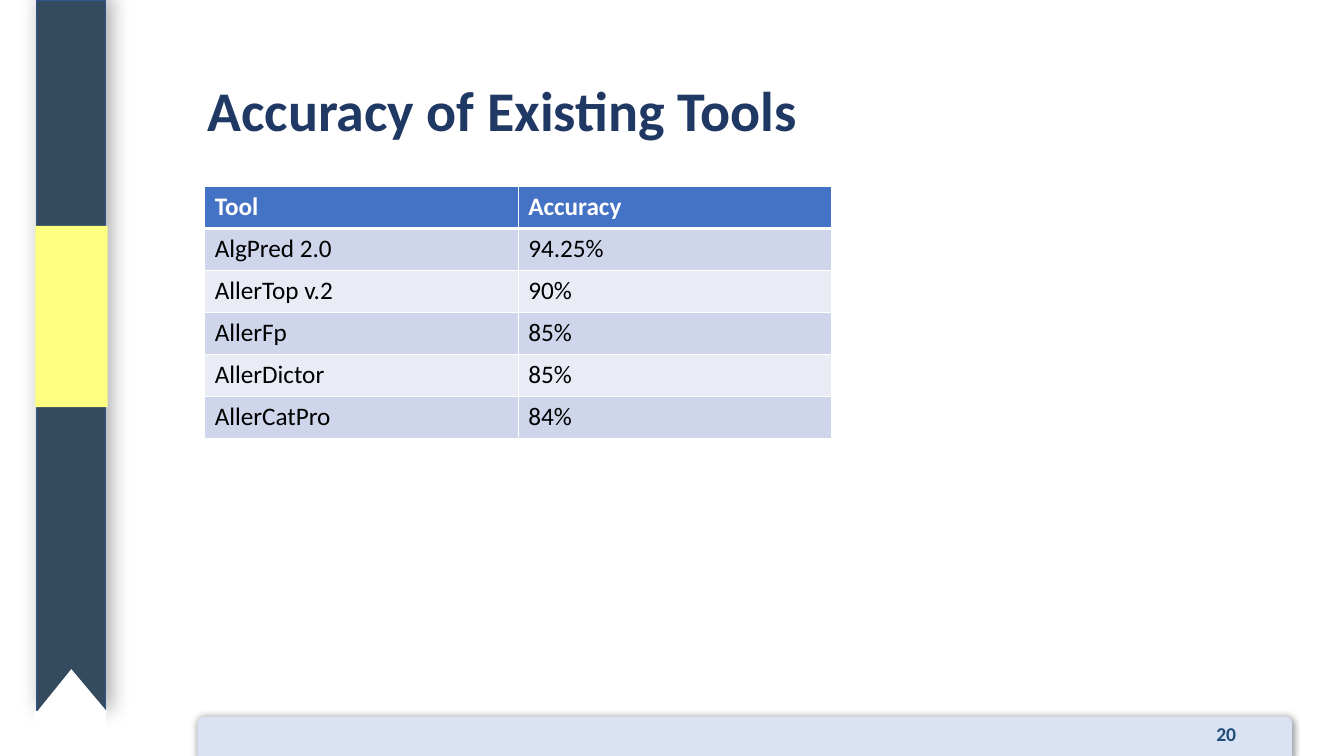
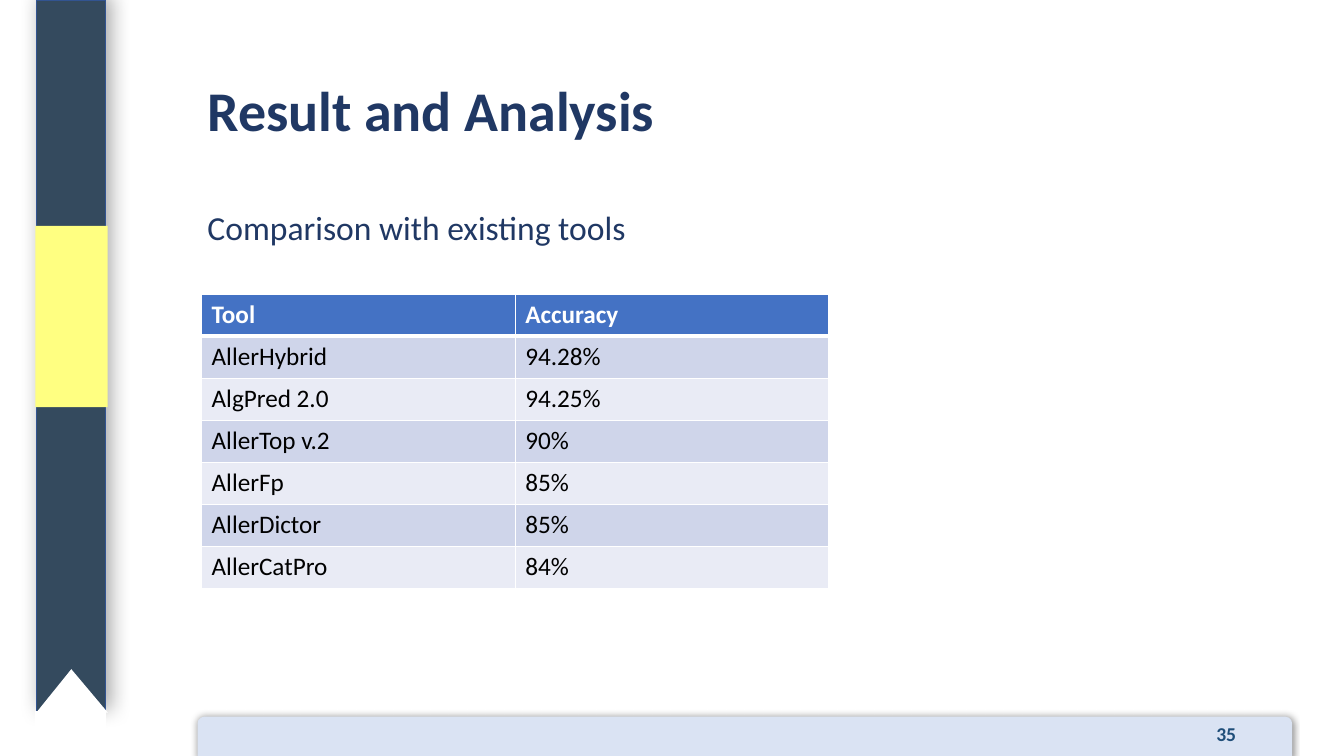
import dataclasses

import lxml.etree
import pptx
import pptx.dml.color
import pptx.enum.shapes
import pptx.enum.text
import pptx.oxml.ns
import pptx.util

Pt = pptx.util.Pt
Shape = pptx.enum.shapes.MSO_SHAPE
Align = pptx.enum.text.PP_ALIGN
Anchor = pptx.enum.text.MSO_ANCHOR


@dataclasses.dataclass(frozen=True)
class Theme:
    font: str = "Calibri"
    title_size: float = 40
    subtitle_size: float = 24
    table_size: float = 18
    number_size: float = 14
    heading: str = "203864"
    number: str = "1F4E79"
    ribbon: str = "344A5E"
    ribbon_line: str = "325491"
    ribbon_mark: str = "FFFF81"
    footer: str = "DAE3F3"
    header_row: str = "4472C4"
    odd_row: str = "CFD5EA"
    even_row: str = "E9EBF5"
    white: str = "FFFFFF"
    black: str = "000000"


THEME = Theme()
SLIDE_WIDTH, SLIDE_HEIGHT = 960, 540
CONTENT_LEFT, CONTENT_WIDTH = 141.1, 780.5
COLUMN_WIDTH, ROW_HEIGHT = 224, 30
HEADER = ("Tool", "Accuracy")
EXISTING_TOOLS = [
    ("AlgPred 2.0", "94.25%"),
    ("AllerTop v.2", "90%"),
    ("AllerFp", "85%"),
    ("AllerDictor", "85%"),
    ("AllerCatPro", "84%"),
]


def rgb(color):
    return pptx.dml.color.RGBColor.from_string(color)


def add_child(parent, tag, **attributes):
    child = lxml.etree.SubElement(parent, pptx.oxml.ns.qn(tag))
    for name, value in attributes.items():
        child.set(name, str(value))
    return child


def add_block(slide, kind, box, fill, line=None):
    shape = slide.shapes.add_shape(kind, *map(Pt, box))
    shape.shadow.inherit = False
    shape.fill.solid()
    shape.fill.fore_color.rgb = rgb(fill)
    if line:
        shape.line.color.rgb = rgb(line)
        shape.line.width = Pt(1)
    else:
        shape.line.fill.background()
    return shape


def add_shadow(shape, blur, distance, direction, opacity):
    """Give the shape an outer shadow; direction is in degrees, opacity in percent."""
    effects = shape._element.spPr.find(pptx.oxml.ns.qn("a:effectLst"))
    shadow = add_child(effects, "a:outerShdw", blurRad=Pt(blur), dist=Pt(distance),
                       dir=direction * 60000, algn="ctr", rotWithShape=0)
    color = add_child(shadow, "a:srgbClr", val=THEME.black)
    add_child(color, "a:alpha", val=opacity * 1000)


def write_run(paragraph, text, size, color, bold=False):
    run = paragraph.add_run()
    run.text = text
    run.font.name = THEME.font
    run.font.size = Pt(size)
    run.font.bold = bold
    run.font.color.rgb = rgb(color)


def add_text(slide, box, text, size, color, bold=False, align=Align.LEFT,
             anchor=Anchor.TOP, line_spacing=1.0, inset=3.6):
    frame = slide.shapes.add_textbox(*map(Pt, box)).text_frame
    frame.word_wrap = True
    frame.vertical_anchor = anchor
    frame.margin_top = frame.margin_bottom = Pt(inset)
    paragraph = frame.paragraphs[0]
    paragraph.alignment = align
    paragraph.line_spacing = line_spacing
    write_run(paragraph, text, size, color, bold)


def add_ribbon(slide):
    ribbon = add_block(slide, Shape.RECTANGLE, (25.9, 0, 49.7, 508.3),
                       THEME.ribbon, THEME.ribbon_line)
    add_shadow(ribbon, blur=14, distance=4, direction=315, opacity=33)
    notch = add_block(slide, Shape.ISOSCELES_TRIANGLE, (25.9, 478, 51.1, 31), THEME.white)
    notch.adjustments[0] = 0.49
    add_block(slide, Shape.RECTANGLE, (25.2, 508.3, 50.4, 31), THEME.white, THEME.white)
    add_block(slide, Shape.RECTANGLE, (25.2, 161.3, 51.8, 129.6), THEME.ribbon_mark)


def add_footer(slide, number):
    footer = add_block(slide, Shape.ROUND_2_SAME_RECTANGLE,
                       (CONTENT_LEFT, 511.9, CONTENT_WIDTH + 1.4, 29.5), THEME.footer)
    add_shadow(footer, blur=5, distance=0, direction=0, opacity=40)
    add_text(slide, (828, 511.9, 95.8, 28.1), str(number), THEME.number_size,
             THEME.number, bold=True, align=Align.CENTER)


def add_base_slide(presentation, title, number):
    slide = presentation.slides.add_slide(presentation.slide_layouts[6])
    add_ribbon(slide)
    add_footer(slide, number)
    add_text(slide, (CONTENT_LEFT, 28.8, CONTENT_WIDTH, 104.4), title, THEME.title_size,
             THEME.heading, bold=True, anchor=Anchor.MIDDLE, line_spacing=0.9)
    return slide


def add_subtitle(slide, text):
    add_text(slide, (CONTENT_LEFT, 144, CONTENT_WIDTH, 67), text, THEME.subtitle_size,
             THEME.heading, line_spacing=0.9, inset=7.2)


def set_borders(cell, top, bottom):
    properties = cell._tc.get_or_add_tcPr()
    for side, width in (("L", 1), ("R", 1), ("T", top), ("B", bottom)):
        line = add_child(properties, f"a:ln{side}", w=Pt(width))
        add_child(add_child(line, "a:solidFill"), "a:srgbClr", val=THEME.white)


def style_row(index):
    """Return fill, text colour, top border and bottom border of a table row."""
    if index == 0:
        return THEME.header_row, THEME.white, 1, 3
    fill = THEME.odd_row if index % 2 else THEME.even_row
    return fill, THEME.black, 3 if index == 1 else 1, 1


def add_accuracy_table(slide, left, top, tools):
    rows = [HEADER, *tools]
    table = slide.shapes.add_table(
        len(rows), len(HEADER), Pt(left), Pt(top),
        Pt(COLUMN_WIDTH * len(HEADER)), Pt(ROW_HEIGHT * len(rows))).table
    table.horz_banding = False
    for row_index, values in enumerate(rows):
        fill, color, top_border, bottom_border = style_row(row_index)
        for column_index, value in enumerate(values):
            cell = table.cell(row_index, column_index)
            set_borders(cell, top_border, bottom_border)
            cell.fill.solid()
            cell.fill.fore_color.rgb = rgb(fill)
            write_run(cell.text_frame.paragraphs[0], value, THEME.table_size, color,
                      bold=row_index == 0)


def main():
    presentation = pptx.Presentation()
    presentation.slide_width = Pt(SLIDE_WIDTH)
    presentation.slide_height = Pt(SLIDE_HEIGHT)

    slide = add_base_slide(presentation, "Accuracy of Existing Tools", 20)
    add_accuracy_table(slide, 146.2, 133.2, EXISTING_TOOLS)

    slide = add_base_slide(presentation, "Result and Analysis", 35)
    add_accuracy_table(slide, 144, 210.2, [("AllerHybrid", "94.28%"), *EXISTING_TOOLS])
    add_subtitle(slide, "Comparison with existing tools")

    presentation.save("out.pptx")


if __name__ == "__main__":
    main()
